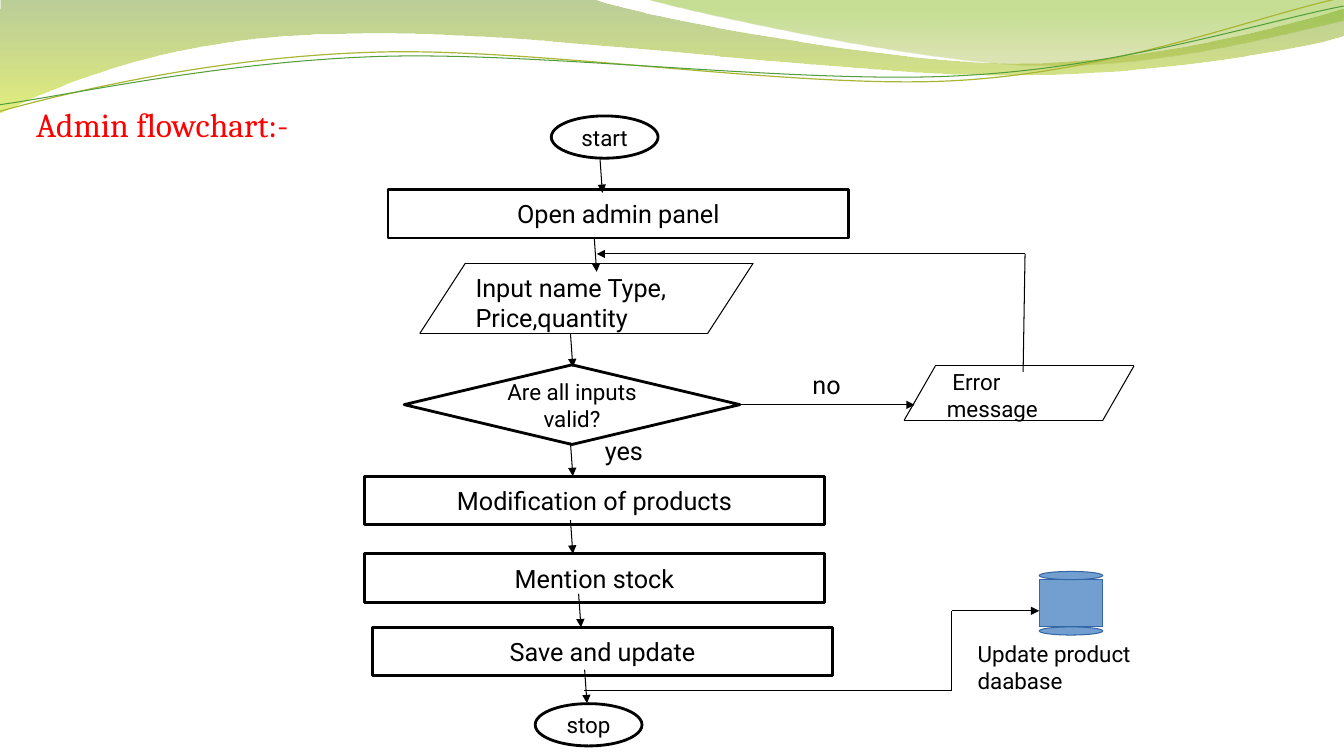
from lxml import etree
from pptx import Presentation
from pptx.dml.color import RGBColor
from pptx.enum.shapes import MSO_CONNECTOR, MSO_SHAPE
from pptx.enum.text import MSO_ANCHOR, PP_ALIGN
from pptx.oxml.ns import qn
from pptx.util import Pt

BLACK = RGBColor(0, 0, 0)
WHITE = RGBColor(255, 255, 255)
RED = RGBColor(255, 0, 0)
BLUE = RGBColor(0x72, 0x9F, 0xCF)
NAVY = RGBColor(0x34, 0x65, 0xA4)
RUST = RGBColor(0xE6, 0x76, 0x13)
MOSS = RGBColor(0x69, 0x92, 0x1C)
LIME = RGBColor(0xCC, 0xE1, 0x0F)
OLIVE = RGBColor(0x9B, 0xAA, 0x1A)
LEAF = RGBColor(0x81, 0xBA, 0x16)
STRAW = RGBColor(0xA9, 0xB6, 0x33)
GREEN = RGBColor(0x54, 0x9E, 0x39)
OVAL, RECT = MSO_SHAPE.OVAL, MSO_SHAPE.RECTANGLE
TEST = MSO_SHAPE.FLOWCHART_DECISION
STRAIGHT = MSO_CONNECTOR.STRAIGHT
LEFT, CENTER = PP_ALIGN.LEFT, PP_ALIGN.CENTER
TOP, MIDDLE = MSO_ANCHOR.TOP, MSO_ANCHOR.MIDDLE

deck = Presentation()
deck.slide_width, deck.slide_height = Pt(960), Pt(540)
slide = deck.slides.add_slide(deck.slide_layouts[6])
shapes = slide.shapes


def trace(start, parts, closed):
    dots = [(Pt(part[i]), Pt(part[i + 1])) for part in parts for i in range(0, len(part), 2)]
    maker = shapes.build_freeform(Pt(start[0]), Pt(start[1]))
    maker.add_line_segments(dots, close=closed)
    wave = maker.convert_to_shape()
    wave.shadow.inherit = False
    legs = iter(list(wave._element.iter(qn("a:lnTo"))))
    for part in parts:
        leg = next(legs)
        if len(part) == 6:
            leg.tag = qn("a:cubicBezTo")
            for _ in range(2):
                spare = next(legs)
                leg.append(spare[0])
                spare.getparent().remove(spare)
    return wave


def write(shape, lines, size, align=LEFT, anchor=TOP, font="Roboto", color=BLACK, pad=(7.2, 3.6)):
    frame = shape.text_frame
    look = {"word_wrap": True, "vertical_anchor": anchor,
            "margin_left": Pt(pad[0]), "margin_right": Pt(pad[0]),
            "margin_top": Pt(pad[1]), "margin_bottom": Pt(pad[1])}
    for key, value in look.items():
        setattr(frame, key, value)
    for i, (text, indent) in enumerate(lines):
        para = frame.add_paragraph() if i else frame.paragraphs[0]
        para.alignment = align
        if indent:
            para._p.get_or_add_pPr().set("marL", str(Pt(indent)))
        run = para.add_run()
        run.text = text
        for key, value in {"name": font, "size": Pt(size)}.items():
            setattr(run.font, key, value)
        run.font.color.rgb = color


bands = [
    ((0, 0),
     [(422.6, -0.7), (456.5, 12.2, 636.5, 45.4, 727.9, 45.4),
      (818.6, 45.4, 919.4, 18.7, 959.8, 6.5), (960.5, 25.9),
      (943.9, 31.7, 834.5, 54.7, 715.7, 54), (596.9, 54, 366.5, 20.2, 247, 24.5),
      (123.1, 25.2, 43.9, 59.8, -1.4, 81.4)],
     270, [(0, MOSS, 45), (1, LIME, 55)]),
    ((460, -0.7),
     [(488.9, 7.9, 654.5, 44.6, 738, 46.8), (828, 49.7, 922.3, 23, 959.8, 15.1), (959.8, 0)],
     90, [(0, OLIVE, 30), (0.8, LEAF, 45)]),
]
for start, parts, angle, stops in bands:
    band = trace(start, parts, True)
    band.line.fill.background()
    band.fill.gradient()
    band.fill.gradient_angle = angle
    for stop, (place, color, _) in zip(band.fill.gradient_stops, stops):
        stop.position = place
        stop.color.rgb = color
    tints = band._element.spPr.iter(qn("a:srgbClr"))
    for tint, (_, _, alpha) in zip(tints, stops):
        etree.SubElement(tint, qn("a:alpha")).set("val", str(alpha * 1000))

curves = [
    ((-1.4, 79.9),
     [(44.6, 67, 150.5, 41, 265, 37.4), (378.7, 33.1, 567.4, 64.1, 682.6, 57.6),
      (797.8, 51.1, 900, 10.8, 957.6, -1.4)], STRAW, 0.85),
    ((-1.4, 74.9),
     [(43.9, 69.1, 156.2, 43.9, 271.4, 40.3), (385.9, 36.7, 571.7, 60.5, 686.9, 54),
      (801.4, 48.2, 902.9, 15.1, 959.8, 4.3)], GREEN, 0.75),
]
for start, parts, color, width in curves:
    curve = trace(start, parts, False)
    curve.fill.background()
    curve.line.color.rgb = color
    curve.line.width = Pt(width)

title = shapes.add_textbox(Pt(25.9), Pt(55.4), Pt(885.6), Pt(66.2))
write(title, [("Admin flowchart:-", 0)], 24, anchor=MIDDLE, font="Cambria", color=RED, pad=(0, 0))

STEP, END = (329, 34.6), (76.3, 30.2)
steps = [
    (OVAL, 393.8, 82.8, END, "start", 16),
    (RECT, 277.2, 135.4, STEP, "Open admin panel", 18),
    (TEST, 288.7, 260.6, (239.8, 56.9), "Are all inputs valid?", 16),
    (RECT, 260.2, 340.3, STEP, "Modification of products", 18),
    (RECT, 260.2, 395.6, STEP, "Mention stock", 18),
    (RECT, 265.9, 448, STEP, "Save and update", 18),
    (OVAL, 382.3, 502.6, END, "stop", 16),
]
for kind, x, y, (w, h), text, size in steps:
    box = shapes.add_shape(kind, Pt(x), Pt(y), Pt(w), Pt(h))
    box.shadow.inherit = False
    box.fill.solid()
    box.fill.fore_color.rgb = WHITE
    box.line.color.rgb = BLACK
    box.line.width = Pt(2)
    write(box, [(text, 0)], size, CENTER, MIDDLE)

links = [(x, y, x + 1.7, y + 24, BLACK, True) for x, y in [
    (428.6, 113.8), (424.5, 170.2), (407.5, 238.3), (407.5, 316.1),
    (407.5, 371.5), (413.3, 424.1), (417.6, 478.3)]]
links += [
    (679.7, 493.2, 416.9, 493.2, BLACK, False),
    (730.8, 265.7, 732.2, 181.4, BLACK, False),
    (697, 166.3, 697, 166.3, RUST, False),
    (679.7, 493.2, 679.7, 436.3, BLACK, False),
]
for x, y, w, h, lean in [(645.8, 261.4, 164.2, 38.9, 22.3), (299.8, 187.9, 238.3, 50.4, 32.7)]:
    right, low = x + w, y + h
    links += [
        (x, low, right - lean, low, BLACK, False),
        (x + lean, y, right, y, BLACK, False),
        (x + lean, y, x, low, BLACK, False),
        (right, y, right - lean, low, BLACK, False),
    ]
links += [
    (732.2, 181.4, 426.2, 181.4, BLACK, True),
    (528.5, 289.2, 653.4, 289.2, BLACK, True),
    (679.7, 436.3, 742.3, 436.3, BLACK, True),
]
for x, y, right, low, color, head in links:
    link = shapes.add_connector(STRAIGHT, Pt(x), Pt(y), Pt(right), Pt(low))
    link.line.color.rgb = color
    link.line.width = Pt(0.75)
    if head:
        etree.SubElement(link.line._get_or_add_ln(), qn("a:tailEnd")).set("type", "triangle")
    etree.SubElement(link._element.spPr, qn("a:effectLst"))

labels = [
    (332.6, 190.8, 172.8, 69.8, [("Input name Type,", 0), ("Price,quantity", 0)], 18, LEFT),
    (665.3, 259.2, 172.8, 69.8, [("Error", 8), ("message", 4)], 16, LEFT),
    (549.4, 260.6, 82.1, 28.8, [("no", 0)], 18, CENTER),
    (404.6, 307.4, 82.1, 28.8, [("yes", 0)], 18, CENTER),
    (691.2, 453.6, 164.9, 49, [("Update product daabase", 0)], 16, LEFT),
]
for x, y, w, h, lines, size, align in labels:
    write(shapes.add_textbox(Pt(x), Pt(y), Pt(w), Pt(h)), lines, size, align)

for kind, y, h in [(RECT, 414, 33.8), (OVAL, 408.2, 5.8), (OVAL, 447.8, 5.8)]:
    drum = shapes.add_shape(kind, Pt(742.3), Pt(y), Pt(45.4), Pt(h))
    drum.shadow.inherit = False
    drum.fill.solid()
    drum.fill.fore_color.rgb = BLUE
    drum.line.color.rgb = NAVY
    drum.line.width = Pt(0.75)

deck.save("out.pptx")
